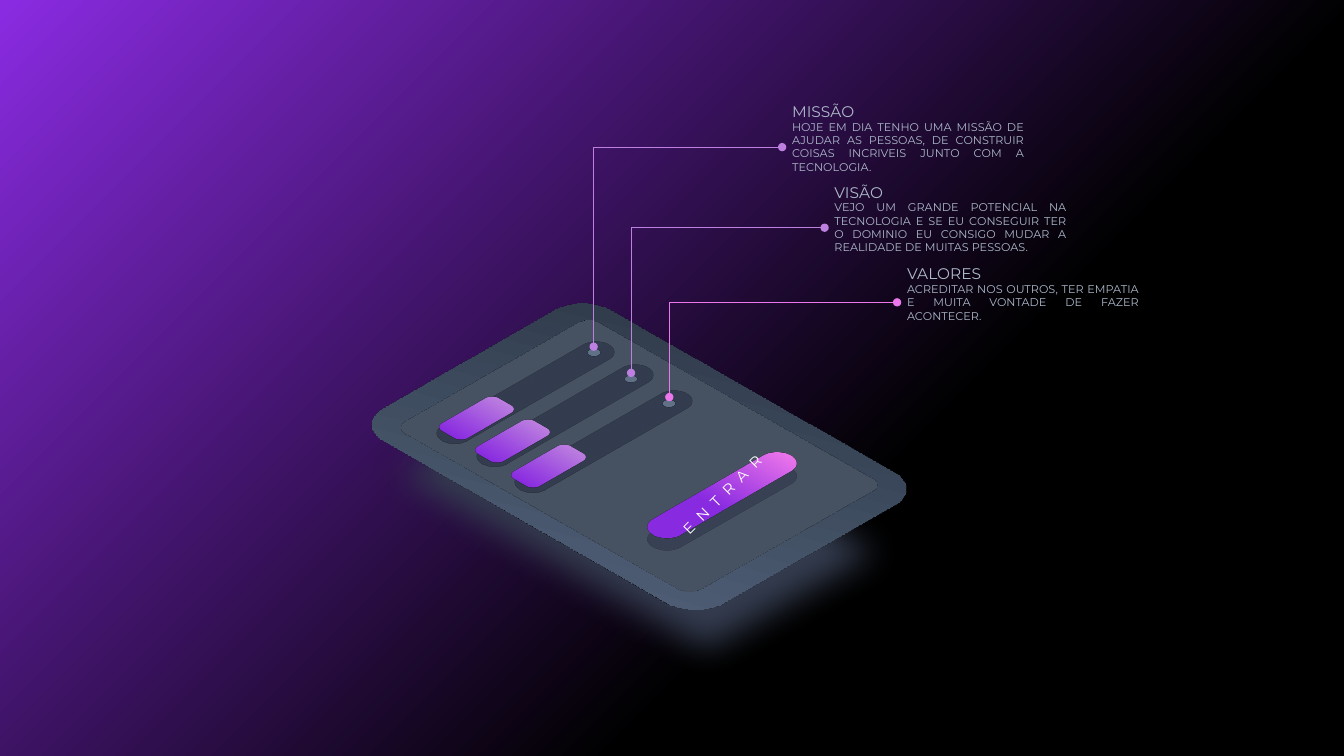
from lxml import etree
from pptx import Presentation, util as u
from pptx.dml.color import RGBColor
from pptx.enum import shapes, text
from pptx.oxml.ns import qn

# A grid of 160 columns by 90 rows; each cell is a twelfth of an inch
WIDE, HIGH = u.Inches(13.333), u.Inches(7.5)
CELL = HIGH / 90

INK = {
    "black": "000000", "white": "FFFFFF", "violet": "8A2BE2",
    "lilac": "BD80E1", "pink": "EC76EC", "night": "1F273A",
    "shade": "222B3E", "slate": "313D4D", "steel": "4D5C73",
    "mist": "ADB9CA",
}

# Slot place, knob place, dot place, label column, title row, body row,
# body height, line colour, title and body of each point
POINTS = [
    ((48.6, 44.52), (51.96, 47.64), (69.96, 41.28),
     93.12, 11.52, 13.68, 7.68, "lilac", "MISSÃO",
     "HOJE EM DIA TENHO UMA MISSÃO DE AJUDAR AS PESSOAS, DE CONSTRUIR "
     "COISAS INCRIVEIS JUNTO COM A TECNOLOGIA."),
    ((53.28, 47.28), (56.28, 50.4), (74.4, 44.4),
     98.16, 21.24, 23.28, 7.68, "lilac", "VISÃO",
     "VEJO UM GRANDE POTENCIAL NA TECNOLOGIA E SE EU CONSEGUIR TER O "
     "DOMINIO EU CONSIGO MUDAR A REALIDADE DE MUITAS PESSOAS."),
    ((57.84, 50.4), (60.6, 53.28), (78.96, 47.28),
     106.8, 30.84, 33, 6, "pink", "VALORES",
     "ACREDITAR NOS OUTROS, TER EMPATIA E MUITA VONTADE DE FAZER "
     "ACONTECER."),
]


def grid(*cells):
    return [round(n * CELL) for n in cells]


def tint(name):
    return RGBColor.from_string(INK[name])


def node(base, tag, **attrs):
    return etree.SubElement(base, qn(tag), attrs)


def paint(shape, name):
    shape.fill.solid()
    shape.fill.fore_color.rgb = tint(name)


def blend(shape, first, last, angle):
    """Fill with two (position, colour) stops, at a clockwise angle."""
    shape.fill.gradient()
    shape.fill.gradient_angle = 360 - angle
    for stop, (place, name) in zip(shape.fill.gradient_stops, (first, last)):
        stop.position = place
        stop.color.rgb = tint(name)


def block(slide, kind, box):
    shape = slide.shapes.add_shape(kind, *box)
    shape.line.fill.background()
    shape.shadow.inherit = False
    return shape


def tile(slide, cells, round_by=None):
    """A shape laid flat by an isometric camera; oval without rounding."""
    kinds = shapes.MSO_SHAPE
    kind = kinds.OVAL if round_by is None else kinds.ROUNDED_RECTANGLE
    shape = block(slide, kind, grid(*cells))
    if round_by is not None:
        shape.adjustments[0] = round_by
    scene = node(shape._element.spPr, "a:scene3d")
    node(scene, "a:camera", prst="isometricTopUp")
    node(scene, "a:lightRig", rig="threePt", dir="t")
    return shape


def write(slide, cells, words, size, name, align):
    box = slide.shapes.add_textbox(*grid(*cells))
    frame = box.text_frame
    frame.text = words
    frame.word_wrap = True
    frame.auto_size = text.MSO_AUTO_SIZE.SHAPE_TO_FIT_TEXT
    para = frame.paragraphs[0]
    para.alignment = align
    font = para.runs[0].font
    font.name, font.size = "Montserrat", u.Pt(size)
    font.color.rgb = tint(name)
    return box


def link(slide, dot, body, name):
    """Run an elbow from the top of a dot to the left of a text."""
    line = slide.shapes.add_connector(
        shapes.MSO_CONNECTOR.ELBOW, 0, 0, 0, 0)
    line.begin_connect(dot, 0)
    line.end_connect(body, 1)
    x1, y1 = dot.left + dot.width // 2, dot.top
    x2, y2 = body.left, body.top + body.height // 2
    run, rise = x2 - x1, y1 - y2
    # The elbow is a quarter turn, so its width is the rise
    line.left, line.top = (x1 + x2 - rise) // 2, (y1 + y2 - run) // 2
    line.width, line.height = rise, run
    prop = line._element.spPr
    frame = prop.find(qn("a:xfrm"))
    for key, val in (("rot", "5400000"), ("flipH", "1"), ("flipV", "1")):
        frame.set(key, val)
    prop.find(qn("a:prstGeom")).set("prst", "bentConnector2")
    line.line.width = u.Pt(0.5)
    line.line.color.rgb = tint(name)
    stroke = prop.find(qn("a:ln"))
    for end in ("a:headEnd", "a:tailEnd"):
        node(stroke, end, type="oval")
    node(prop, "a:effectLst")


def plate(slide):
    glow = tile(slide, (54, 27.6, 44.16, 67.08), 0.06)
    paint(glow, "night")
    soft = glow._element.spPr.find(qn("a:effectLst"))
    node(soft, "a:softEdge", rad=str(u.Pt(25)))
    rim = tile(slide, (56.88, 25.68, 38.4, 57.36), 0.13)
    blend(rim, (0.03, "slate"), (1, "steel"), 160)
    paint(tile(slide, (59.76, 29.52, 32.64, 49.56), 0.06), "slate")


def button(slide):
    shade = tile(slide, (74.4, 58.08, 23.16, 4.68), 0.5)
    paint(shade, "shade")
    tone = shade._element.spPr.find(".//" + qn("a:srgbClr"))
    node(tone, "a:alpha", val="58000")
    face = tile(slide, (74.4, 56.64, 23.16, 4.68), 0.5)
    blend(face, (0, "pink"), (0.61, "violet"), 180)
    word = write(slide, (75.84, 57.24, 20.28, 3.36), "ENTRAR", 10.5,
                 "white", text.PP_ALIGN.CENTER)
    word.rotation = 315
    run = word.text_frame.paragraphs[0].runs[0]
    run.font._element.set("spc", "600")


def main():
    deck = Presentation()
    deck.slide_width, deck.slide_height = WIDE, HIGH
    slide = deck.slides.add_slide(deck.slide_layouts[6])

    # Backdrop
    back = block(slide, shapes.MSO_SHAPE.RECTANGLE, (0, 0, WIDE, HIGH))
    blend(back, (0.35, "black"), (1, "violet"), 225)

    # Panel with its sliders and button
    plate(slide)
    for slot, knob, *_ in POINTS:
        paint(tile(slide, (*slot, 27.96, 4.32), 0.5), "night")
        grip = tile(slide, (*knob, 9.48, 4.32), 0.27)
        blend(grip, (0, "lilac"), (1, "violet"), 180)
    button(slide)

    # Labels, each tied to its slider
    for _, _, spot, col, top, row, high, name, title, words in POINTS:
        write(slide, (col, top, 23.52, 3.48), title, 11, "mist",
              text.PP_ALIGN.LEFT)
        body = write(slide, (col, row, 30, high), words, 8, "mist",
                     text.PP_ALIGN.JUSTIFY)
        dot = tile(slide, (*spot, 1.44, 1.44))
        paint(dot, "steel")
        link(slide, dot, body, name)

    deck.save("out.pptx")


if __name__ == "__main__":
    main()
